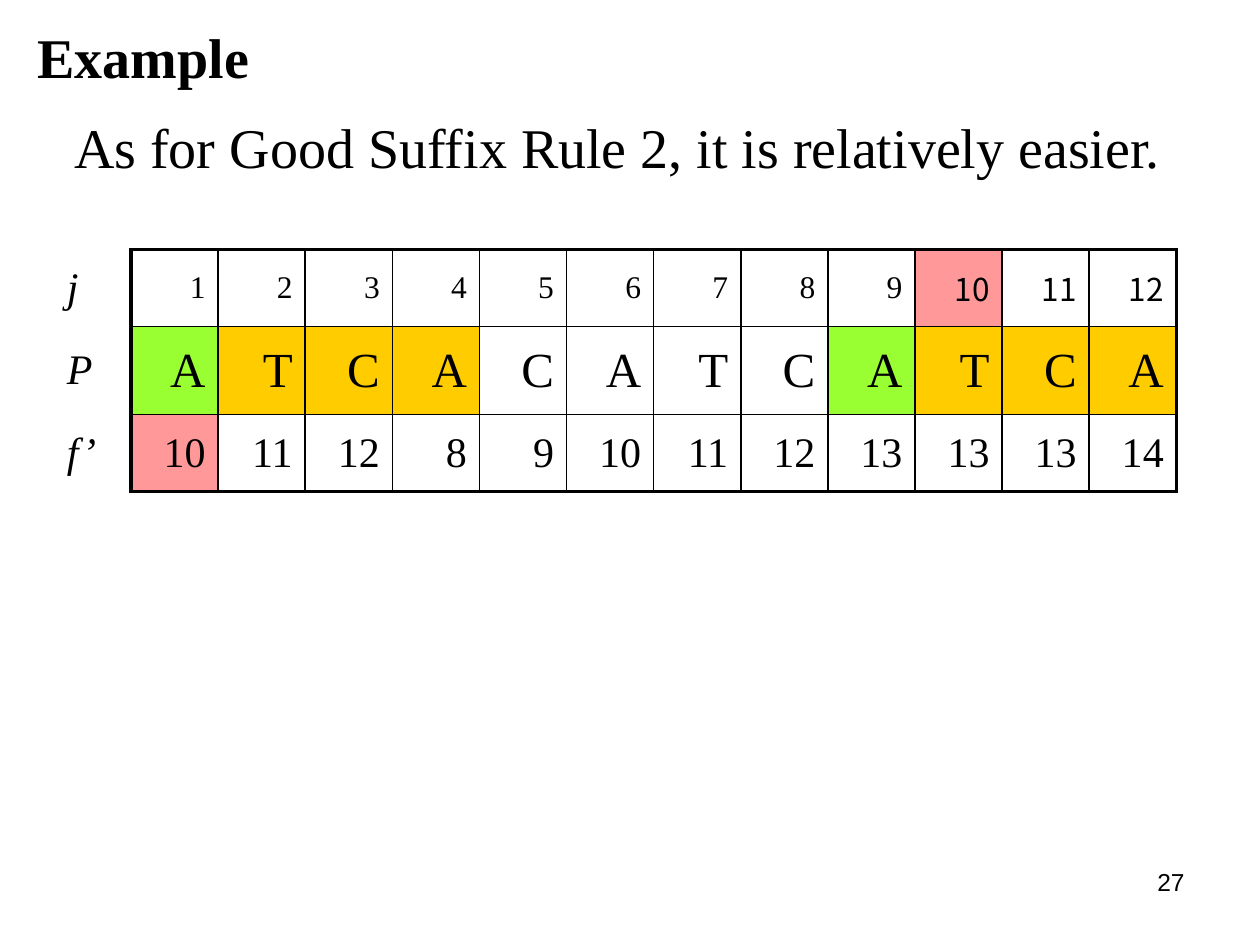
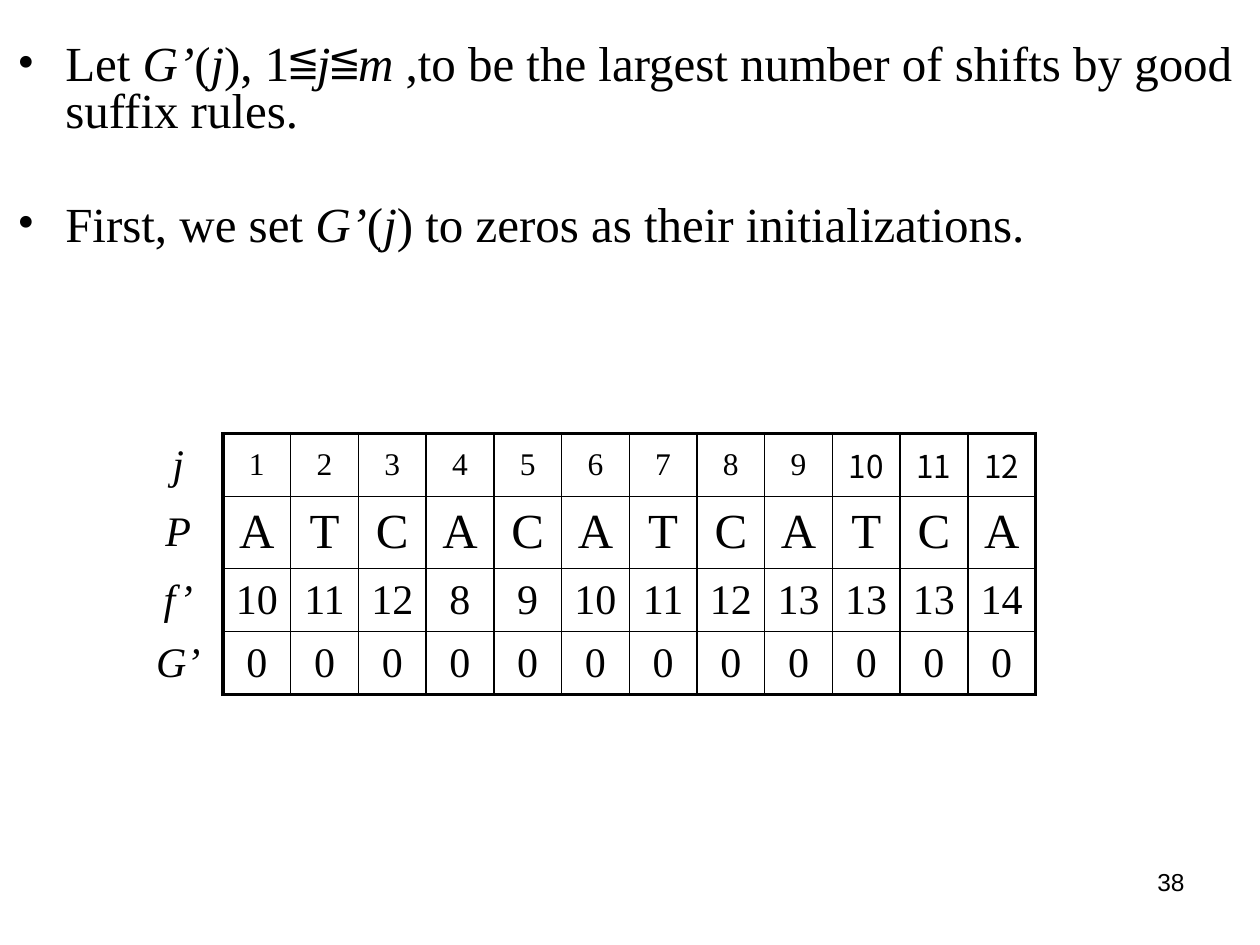
from lxml import etree
from pptx import Presentation
from pptx.dml.color import RGBColor
from pptx.enum.text import MSO_ANCHOR, PP_ALIGN
from pptx.oxml.ns import qn
from pptx.util import Inches, Pt

LEFT, CENTER, RIGHT = PP_ALIGN.LEFT, PP_ALIGN.CENTER, PP_ALIGN.RIGHT
MIDDLE = MSO_ANCHOR.MIDDLE

SERIF, SANS, CJK = "Times New Roman", "Arial", "Noto Sans CJK TC"
BLACK, WHITE = "000000", "FFFFFF"
PINK, GREEN, AMBER = "FF9999", "99FF33", "FFCC00"
THIN, THICK = 1, 2.25

POSITIONS = [str(j) for j in range(1, 13)]
PATTERN = list("ATCACATCATCA")
SUFFIX_VALUES = "10 11 12 8 9 10 11 12 13 13 13 14".split()
POSITION_ROW, PATTERN_ROW, SUFFIX_ROW = range(3)
ROW_SIZES = [18, 28, 24, 24]


def color(hex_string):
    return RGBColor.from_string(hex_string)


def add_text(paragraph, text, size=28, font=SERIF, bold=False, italic=False, align=LEFT):
    paragraph.alignment = align
    run = paragraph.add_run()
    run.text = text
    run.font.size = Pt(size)
    run.font.bold = bold
    run.font.italic = italic
    run.font.color.rgb = color(BLACK)
    run.font.name = font
    etree.SubElement(run.font._element, qn("a:ea"), typeface=CJK)


def add_marked_text(paragraph, text, **style):
    """Write text in which every part between asterisks is italic."""
    for index, part in enumerate(text.split("*")):
        if part:
            add_text(paragraph, part, italic=index % 2 == 1, **style)


def set_borders(cell, **widths):
    """Draw the sides L, R, T and B with the given widths; a missing side stays empty."""
    properties = cell._tc.get_or_add_tcPr()
    for side in "LRTB":
        width = widths.get(side, 0)
        line = etree.SubElement(properties, qn(f"a:ln{side}"), w=str(Pt(width)))
        if width:
            fill = etree.SubElement(line, qn("a:solidFill"))
            etree.SubElement(fill, qn("a:srgbClr"), val=BLACK)
        else:
            etree.SubElement(line, qn("a:noFill"))


class Deck:
    def __init__(self):
        self.presentation = Presentation()
        self.presentation.slide_width = Inches(10)
        self.presentation.slide_height = Inches(7.5)
        self.slide = None

    def new_slide(self, number):
        self.slide = self.presentation.slides.add_slide(self.presentation.slide_layouts[6])
        page_number = self.text_frame(7.17, 6.83, 2.33, 0.52)
        add_text(page_number.paragraphs[0], str(number), size=14, font=SANS, align=RIGHT)

    def text_frame(self, left, top, width, height, wrap=True):
        box = self.slide.shapes.add_textbox(
            Inches(left), Inches(top), Inches(width), Inches(height))
        box.text_frame.word_wrap = wrap
        return box.text_frame

    def line(self, text, left, top, width, height, wrap=True, **style):
        frame = self.text_frame(left, top, width, height, wrap)
        add_text(frame.paragraphs[0], text, **style)

    def bullets(self, items, left, top, width, height, gap):
        frame = self.text_frame(left, top, width, height)
        for index, item in enumerate(items):
            paragraph = frame.add_paragraph() if index else frame.paragraphs[0]
            properties = paragraph._p.get_or_add_pPr()
            properties.set("marL", str(Inches(0.38)))
            properties.set("indent", str(Inches(-0.38)))
            etree.SubElement(properties, qn("a:buFont"), typeface=SERIF)
            etree.SubElement(properties, qn("a:buChar"), char="•")
            paragraph.line_spacing = 0.8
            paragraph.space_before = Pt(gap if index else 0)
            add_marked_text(paragraph, item)

    def pattern_table(self, rows, left, top, width, label_width, heights,
                      align, label_align, fills=None):
        """Draw labelled rows; fills maps (row, position) to a colour."""
        fills = fills or {}
        count = len(POSITIONS)
        table = self.slide.shapes.add_table(
            len(rows), count + 1, Inches(left), Inches(top),
            Inches(width), Inches(sum(heights))).table
        table.first_row = table.horz_banding = False
        for column in table.columns:
            column.width = Inches((width - label_width) / count)
        table.columns[0].width = Inches(label_width)

        for row, (label, values) in enumerate(rows):
            table.rows[row].height = Inches(heights[row])
            for position, text in enumerate([label, *values]):
                cell = table.cell(row, position)
                cell.vertical_anchor = MIDDLE
                paragraph = cell.text_frame.paragraphs[0]
                if position == 0:
                    set_borders(cell, R=THICK)
                    add_text(paragraph, text, size=24, italic=True, align=label_align)
                else:
                    set_borders(cell,
                                L=THICK if position == 1 else THIN,
                                R=THICK if position == count else THIN,
                                T=THICK if row == 0 else THIN,
                                B=THICK if row == len(rows) - 1 else THIN)
                    two_digit_position = row == POSITION_ROW and position > 9
                    add_text(paragraph, text, size=ROW_SIZES[row], align=align,
                             font=CJK if two_digit_position else SERIF)
                cell.fill.solid()
                cell.fill.fore_color.rgb = color(fills.get((row, position), WHITE))


def main():
    deck = Deck()
    pattern_rows = [("j", POSITIONS), ("P", PATTERN), ("f’", SUFFIX_VALUES)]

    deck.new_slide(27)
    deck.line("As for Good Suffix Rule 2, it is relatively easier.",
              0.49, 0.84, 9, 0.71, size=32)
    matches = {(PATTERN_ROW, start + offset): AMBER if offset else GREEN
               for start in (1, 9) for offset in range(4)}
    lookup = {(POSITION_ROW, 10): PINK, (SUFFIX_ROW, 1): PINK}
    deck.pattern_table(pattern_rows, 1.04 - 0.61, 1.98, 8.91, 0.61, [0.61, 0.7, 0.61],
                       align=RIGHT, label_align=LEFT, fills={**matches, **lookup})
    deck.line("Example", 0.2, 0.13, 1.88, 0.63, wrap=False, size=32, bold=True)

    deck.new_slide(38)
    deck.bullets(
        ["Let *G’*(*j*), 1≦*j*≦*m* ,to be the largest number of shifts by good suffix rules.",
         "First, we set *G’*(*j*) to zeros as their initializations."],
        0.04, 0.3, 9.96, 1.96, gap=38)
    initial_shifts = ("G’", ["0"] * len(POSITIONS))
    deck.pattern_table([*pattern_rows, initial_shifts], 1.06, 3.44, 7.16, 0.71,
                       [0.5, 0.57, 0.5, 0.5], align=CENTER, label_align=CENTER)

    deck.presentation.save("out.pptx")


if __name__ == "__main__":
    main()
